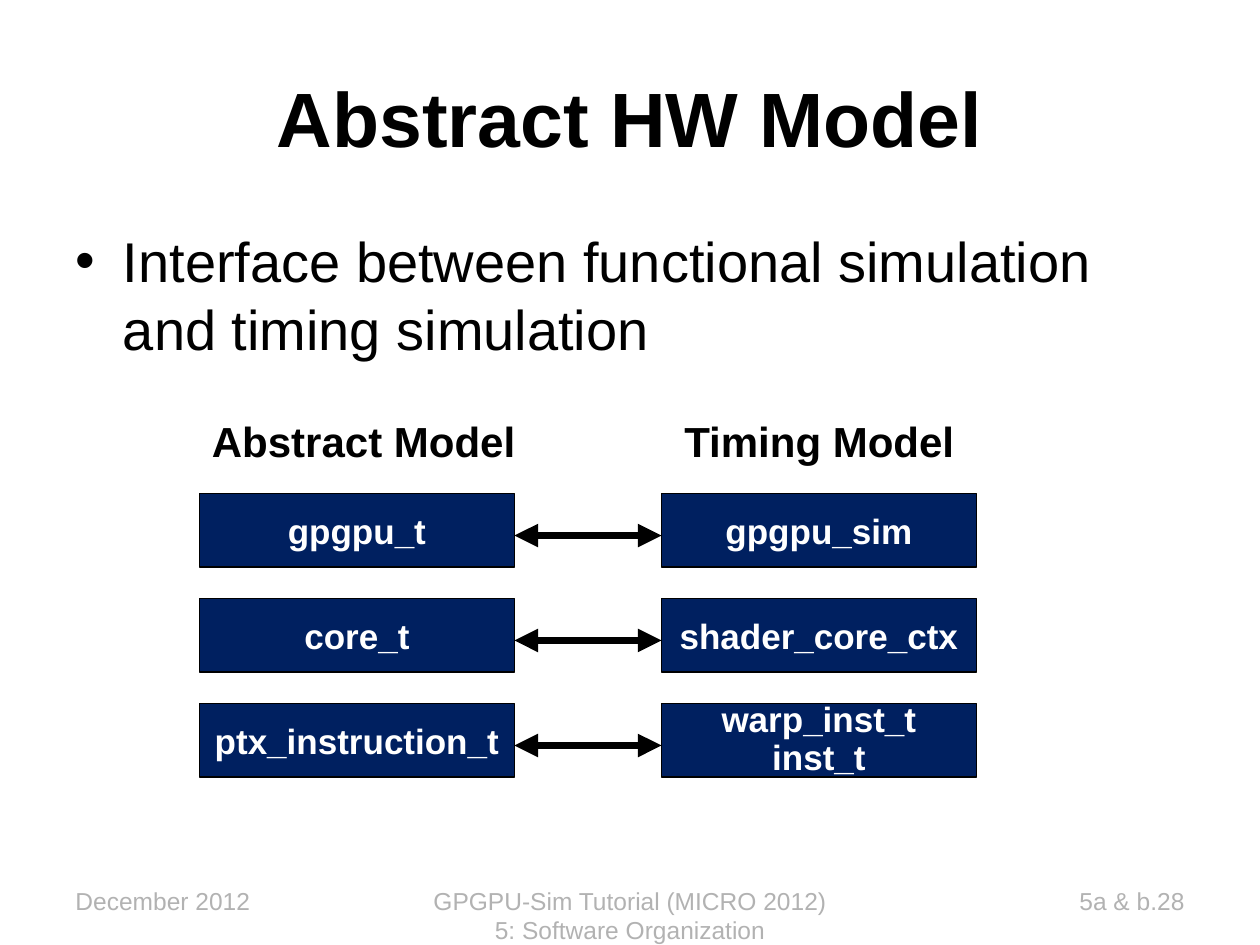
"""Build the Abstract HW Model slide."""
from lxml.etree import SubElement
from pptx import Presentation
from pptx.dml.color import RGBColor
from pptx.enum.shapes import MSO_CONNECTOR, MSO_SHAPE
from pptx.enum.text import MSO_ANCHOR, PP_ALIGN
from pptx.oxml.ns import qn
from pptx.util import Pt

BLACK = RGBColor(0x00, 0x00, 0x00)
WHITE = RGBColor(0xFF, 0xFF, 0xFF)
NAVY = RGBColor(0x00, 0x20, 0x60)
GRAY = RGBColor(0xB2, 0xB2, 0xB2)


def write(shape, text, size, color, bold=False, align=PP_ALIGN.LEFT):
    shape.text_frame.text = text
    for para in shape.text_frame.paragraphs:
        para.alignment = align
        for span in para.runs:
            span.font.name = "Arial"
            span.font.size = Pt(size)
            span.font.bold = bold
            span.font.color.rgb = color


def place(shape, left, top, width, height):
    shape.left, shape.top = Pt(left), Pt(top)
    shape.width, shape.height = Pt(width), Pt(height)


deck = Presentation()
deck.slide_width, deck.slide_height = Pt(720), Pt(540)
page = deck.slides.add_slide(deck.slide_layouts[1])

title = page.shapes.title
place(title, 36, 21.6, 648, 90)
write(title, "Abstract HW Model", 44, BLACK, True, PP_ALIGN.CENTER)
body = page.placeholders[1]
place(body, 36, 126, 648, 90)
write(body, "Interface between functional simulation and timing simulation", 32, BLACK)

footers = [
    ("December 2012", 36, 168, PP_ALIGN.LEFT),
    ("GPGPU-Sim Tutorial (MICRO 2012) 5: Software Organization", 240, 240, PP_ALIGN.CENTER),
    ("5a & b.28", 516, 168, PP_ALIGN.RIGHT),
]
for text, left, width, align in footers:
    footer = page.shapes.add_textbox(Pt(left), Pt(502.5), Pt(width), Pt(37.5))
    footer.text_frame.word_wrap = True
    write(footer, text, 14, GRAY, align=align)

for text, left, width in [("Abstract Model", 114, 188), ("Timing Model", 384, 169)]:
    heading = page.shapes.add_textbox(Pt(left), Pt(234), Pt(width), Pt(36))
    heading.text_frame.word_wrap = False
    write(heading, text, 24, BLACK, True)

box_lefts = (114, 378)
box_width, box_height = 180, 42
first_top, row_step = 282, 60
class_pairs = [
    ("gpgpu_t", "gpgpu_sim"),
    ("core_t", "shader_core_ctx"),
    ("ptx_instruction_t", "warp_inst_t\ninst_t"),
]
for row, pair in enumerate(class_pairs):
    top = first_top + row * row_step
    for left, text in zip(box_lefts, pair):
        box = page.shapes.add_shape(
            MSO_SHAPE.RECTANGLE, Pt(left), Pt(top), Pt(box_width), Pt(box_height))
        box.shadow.inherit = False
        box.fill.solid()
        box.fill.fore_color.rgb = NAVY
        box.line.color.rgb = BLACK
        box.line.width = Pt(0.75)
        box.text_frame.word_wrap = False
        box.text_frame.vertical_anchor = MSO_ANCHOR.MIDDLE
        write(box, text, 20, WHITE, True, PP_ALIGN.CENTER)
        if "\n" in text:
            for para in box.text_frame.paragraphs:
                para.line_spacing = 0.9

    arrow = page.shapes.add_connector(
        MSO_CONNECTOR.STRAIGHT, Pt(box_lefts[0] + box_width), Pt(top + 24),
        Pt(box_lefts[1]), Pt(top + 24))
    arrow.line.color.rgb = BLACK
    arrow.line.width = Pt(4.5)
    outline = arrow.line._get_or_add_ln()
    for end in ("a:headEnd", "a:tailEnd"):
        SubElement(outline, qn(end), type="triangle")
    SubElement(arrow._element.spPr, qn("a:effectLst"))

deck.save("out.pptx")
